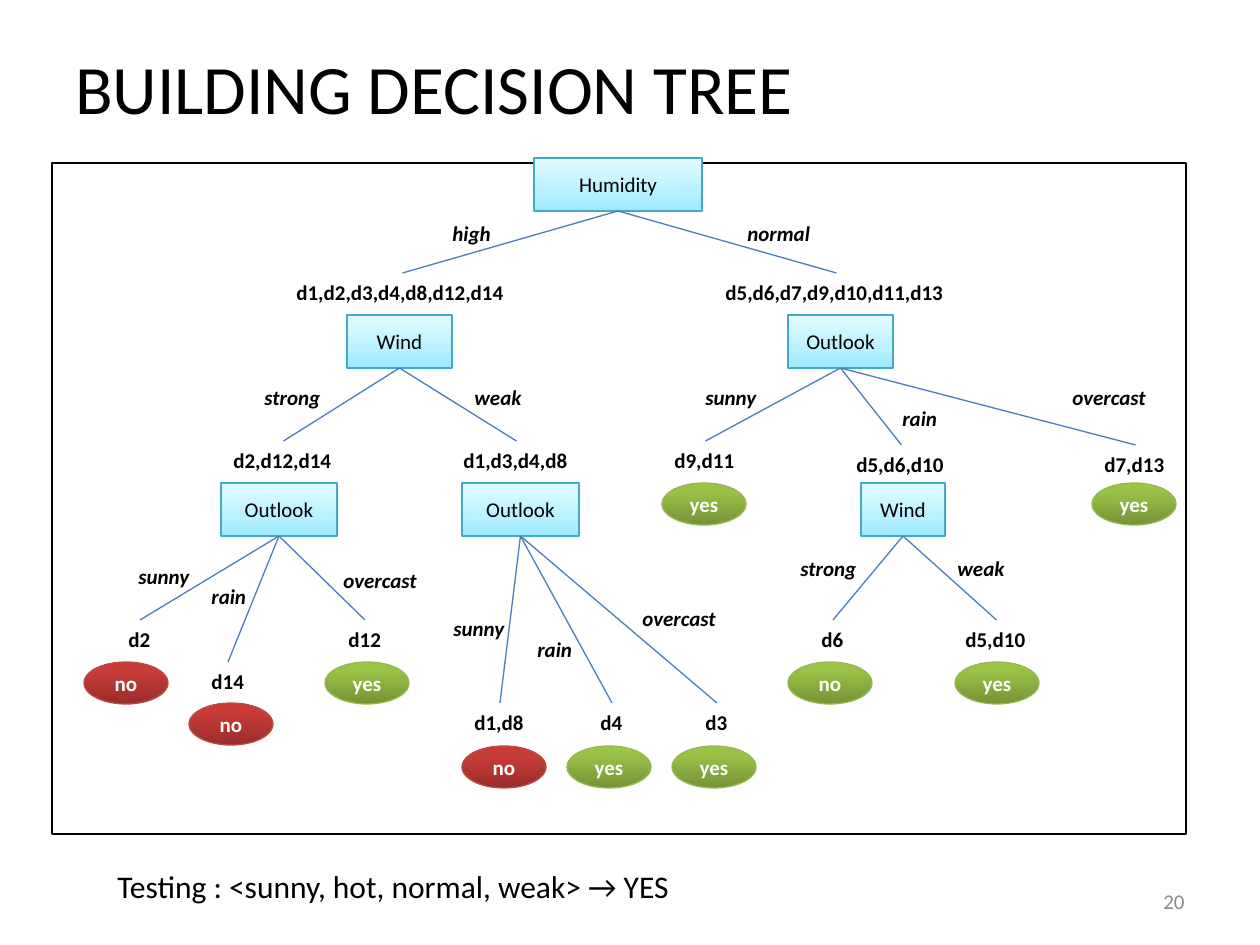
from lxml import etree
from pptx import Presentation
from pptx.dml.color import RGBColor
from pptx.enum.shapes import MSO_CONNECTOR, MSO_SHAPE
from pptx.enum.text import MSO_ANCHOR, PP_ALIGN
from pptx.oxml.ns import qn
from pptx.util import Emu, Pt

RECTANGLE, OVAL = MSO_SHAPE.RECTANGLE, MSO_SHAPE.OVAL
STRAIGHT = MSO_CONNECTOR.STRAIGHT
TOP, MIDDLE = MSO_ANCHOR.TOP, MSO_ANCHOR.MIDDLE
LEFT, CENTER, RIGHT = PP_ALIGN.LEFT, PP_ALIGN.CENTER, PP_ALIGN.RIGHT

SCALE = 914400 / 126
BLACK, WHITE, GRAY, BRANCH_COLOR = "000000", "FFFFFF", "8C8C8C", "4A7DBA"
BLUE = ([(0, "9BE9FF"), (35, "B8F1FF"), (100, "E2FBFF")], "45A9C4")
RED = ([(0, "992D2B"), (80, "C93D39"), (100, "CD3A36")], "BD4B48")
GREEN = ([(0, "759336"), (80, "99C247"), (100, "9BC545")], "97B853")
ATTRIBUTE_H, LABEL_H, LEAF_W, LEAF_H = 53, 38, 84, 42

TITLE = ("BUILDING DECISION TREE", (63, 38, 1134, 98))
TESTING = ("Testing : <sunny, hot, normal, weak> → YES", (105, 861, 809, 89))
PAGE = ("20", (903, 876, 294, 50))
FRAME = (52, 163, 1134, 671)

# attribute, (left, top, width), [(value, place, examples, place)]
TREE = [
    ("Humidity", (534, 158, 168), [
        ("high", (440, 214, 64), "d1,d2,d3,d4,d8,d12,d14", (284, 273, 237)),
        ("normal", (735, 214, 89), "d5,d6,d7,d9,d10,d11,d13", (713, 273, 247)),
    ]),
    ("Wind", (347, 315, 105), [
        ("strong", (252, 378, 82), "d2,d12,d14", (221, 441, 125)),
        ("weak", (462, 378, 84), "d1,d3,d4,d8", (451, 441, 131)),
    ]),
    ("Outlook", (788, 315, 105), [
        ("sunny", (693, 378, 77), "d9,d11", (662, 441, 87)),
        ("rain", (890, 399, 60), "d5,d6,d10", (844, 445, 115)),
        ("overcast", (1060, 378, 100), "d7,d13", (1092, 445, 87)),
    ]),
    ("Outlook", (221, 483, 116), [
        ("sunny", (126, 557, 78), "d2", (116, 620, 48)),
        ("rain", (199, 577, 60), "d14", (199, 662, 58)),
        ("overcast", (331, 561, 100), "d12", (336, 620, 58)),
    ]),
    ("Outlook", (462, 483, 117), [
        ("sunny", (441, 609, 77), "d1,d8", (462, 703, 76)),
        ("rain", (525, 630, 60), "d4", (588, 703, 48)),
        ("overcast", (630, 599, 100), "d3", (693, 703, 48)),
    ]),
    ("Wind", (861, 483, 84), [
        ("strong", (788, 549, 82), "d6", (809, 620, 48)),
        ("weak", (945, 549, 73), "d5,d10", (953, 620, 87)),
    ]),
]
LEAVES = [
    ("no", RED, 84, 662), ("no", RED, 189, 703), ("yes", GREEN, 325, 662),
    ("no", RED, 462, 746), ("yes", GREEN, 567, 746), ("yes", GREEN, 672, 746),
    ("yes", GREEN, 662, 483), ("yes", GREEN, 1092, 483),
    ("no", GREEN, 788, 662), ("yes", GREEN, 955, 662),
]


def px(length):
    return Emu(round(length * SCALE))


def rgb(color):
    return RGBColor.from_string(color)


def write(shape, text, size=12, color=BLACK, align=LEFT, anchor=TOP,
          bold=False, italic=False):
    frame = shape.text_frame
    frame.word_wrap = True
    frame.vertical_anchor = anchor
    paragraph = frame.paragraphs[0]
    paragraph.text = text
    paragraph.alignment = align
    font = paragraph.font
    font.name, font.size, font.bold, font.italic = "Calibri", Pt(size), bold, italic
    font.color.rgb = rgb(color)


def add_text(text, place, **style):
    box = slide.shapes.add_textbox(*map(px, place))
    write(box, text, **style)
    return box


def add_label(text, place, italic=False):
    label = add_text(text, (*place, LABEL_H), bold=True, italic=italic)
    label.text_frame.margin_right = 0
    return label


def add_outlined(kind, place, color, weight):
    shape = slide.shapes.add_shape(kind, *map(px, place))
    shape.shadow.inherit = False
    shape.line.color.rgb = rgb(color)
    shape.line.width = Pt(weight)
    return shape


def add_node(kind, text, place, palette, color, bold=False):
    stops, outline = palette
    node = add_outlined(kind, place, outline, 0.75)
    node.fill.gradient()
    node.fill.gradient_angle = 90
    stop_list = node._element.spPr.find(qn("a:gradFill")).find(qn("a:gsLst"))
    for stop in list(stop_list):
        stop_list.remove(stop)
    for position, stop_color in stops:
        stop = etree.SubElement(stop_list, qn("a:gs"), pos=str(position * 1000))
        etree.SubElement(stop, qn("a:srgbClr"), val=stop_color)
    write(node, text, color=color, align=CENTER, anchor=MIDDLE, bold=bold)
    return node


def add_branch(attribute, examples):
    branch = slide.shapes.add_connector(STRAIGHT, 0, 0, 0, 0)
    branch.begin_connect(attribute, 2)
    branch.end_connect(examples, 0)
    branch.line.color.rgb = rgb(BRANCH_COLOR)
    branch.line.width = Pt(0.75)
    etree.SubElement(branch._element.spPr, qn("a:effectLst"))


prs = Presentation()
prs.slide_width, prs.slide_height = px(1260), px(945)
slide = prs.slides.add_slide(prs.slide_layouts[6])

add_text(*TITLE, size=39.6, anchor=MIDDLE)
border = add_outlined(RECTANGLE, FRAME, BLACK, 1.5)
border.fill.solid()
border.fill.fore_color.rgb = rgb(WHITE)

for name, place, branches in TREE:
    attribute = add_node(RECTANGLE, name, (*place, ATTRIBUTE_H), BLUE, BLACK)
    for value, value_place, days, days_place in branches:
        examples = add_label(days, days_place)
        add_branch(attribute, examples)
        add_label(value, value_place, italic=True)

for answer, palette, left, top in LEAVES:
    add_node(OVAL, answer, (left, top, LEAF_W, LEAF_H), palette, WHITE, bold=True)

add_text(*TESTING, size=18)
add_text(*PAGE, color=GRAY, align=RIGHT, anchor=MIDDLE)
prs.save("out.pptx")
